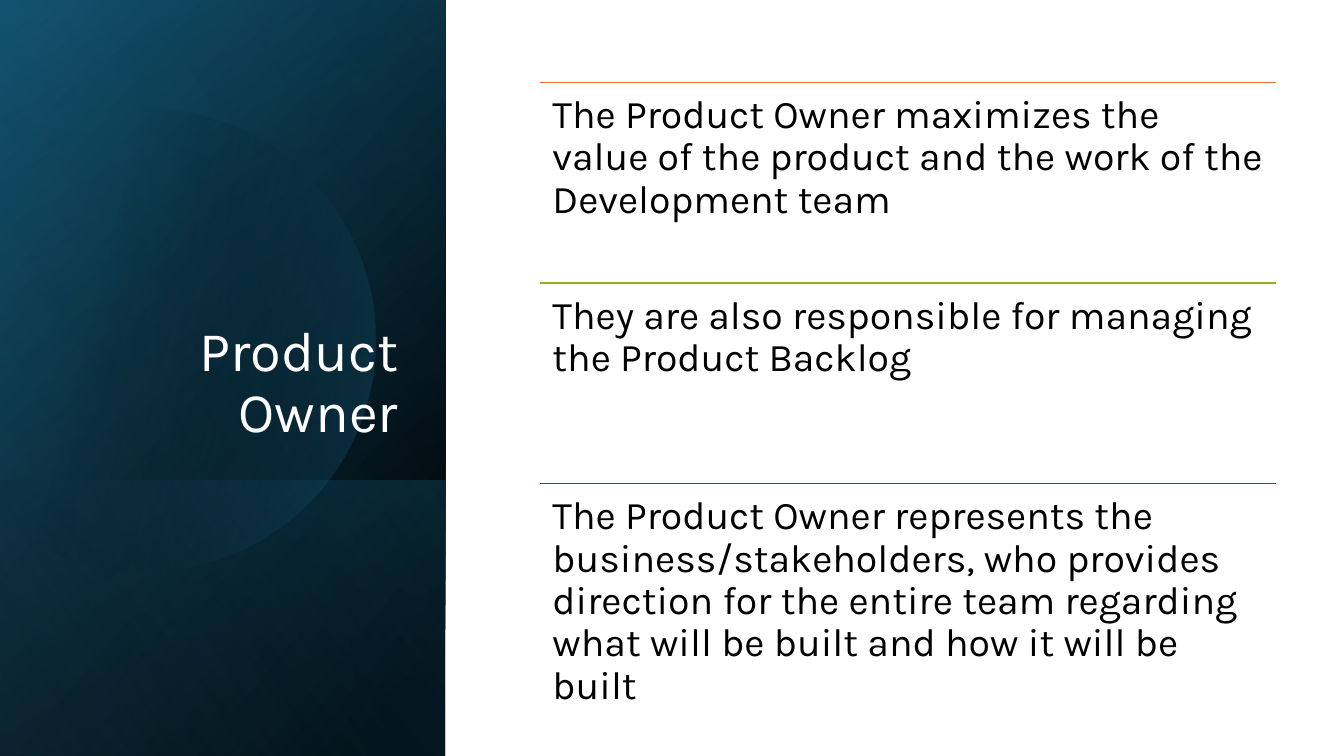
from dataclasses import dataclass
from math import acos, cos, pi, sin

from lxml.etree import SubElement
from pptx import Presentation
from pptx.dml.color import RGBColor
from pptx.enum.shapes import MSO_CONNECTOR, MSO_SHAPE
from pptx.enum.text import MSO_ANCHOR, MSO_AUTO_SIZE, PP_ALIGN
from pptx.oxml.ns import qn
from pptx.util import Inches, Pt

FONT = "Karla"
BLACK = RGBColor(0x00, 0x00, 0x00)
WHITE = RGBColor(0xFF, 0xFF, 0xFF)
DEEP_TEAL = RGBColor(0x10, 0x48, 0x62)
TEAL = RGBColor(0x15, 0x60, 0x82)
SKY = RGBColor(0x46, 0xB1, 0xE1)
ORANGE = RGBColor(0xE9, 0x71, 0x32)
LIME = RGBColor(0x8E, 0xB2, 0x1E)
GREEN = RGBColor(0x19, 0x6B, 0x24)

SLIDE_WIDTH, SLIDE_HEIGHT = Inches(13.33), Inches(7.5)

# Grid of 100 columns by 100 rows
PANEL_COLUMNS = 33.15
LOWER_PANEL_ROW = 63.5
DUTY_COLUMN, DUTY_COLUMNS = 40.21, 54.71
FIRST_DUTY_ROW, DUTY_ROWS = 10.93, 26.53


@dataclass(frozen=True)
class Stop:
    position: float
    color: RGBColor
    opacity: int = 100


@dataclass(frozen=True)
class Shade:
    start: Stop
    end: Stop
    angle: int  # clockwise degrees


@dataclass(frozen=True)
class PanelLayer:
    top_row: float
    shade: Shade


@dataclass(frozen=True)
class Duty:
    text: str
    color: RGBColor


BASE_LAYERS = [
    PanelLayer(0, Shade(Stop(0.08, BLACK), Stop(1, DEEP_TEAL), 220)),
    PanelLayer(0, Shade(Stop(0, BLACK, 0), Stop(0.99, TEAL, 46), 240)),
    PanelLayer(LOWER_PANEL_ROW, Shade(Stop(0.02, TEAL, 29), Stop(1, BLACK, 30), 140)),
]
GLOW_LAYER = PanelLayer(0, Shade(Stop(0, BLACK, 0), Stop(0.99, SKY, 11), 150))
DISC_SHADE = Shade(Stop(0.29, BLACK, 0), Stop(1, TEAL, 43), 14)

DUTIES = [
    Duty("The Product Owner maximizes the value of the product and the work of "
         "the Development team", ORANGE),
    Duty("They are also responsible for managing the Product Backlog", LIME),
    Duty("The Product Owner represents the business/stakeholders, who provides "
         "direction for the entire team regarding what will be built and how it "
         "will be built", GREEN),
]


def across(columns: float) -> int:
    return round(SLIDE_WIDTH * columns / 100)


def down(rows: float) -> int:
    return round(SLIDE_HEIGHT * rows / 100)


def apply_shade(shape, shade: Shade) -> None:
    shape.shadow.inherit = False
    shape.line.fill.background()
    shape.fill.gradient()
    shape.fill.gradient_angle = 360 - shade.angle
    for target, stop in zip(shape.fill.gradient_stops, (shade.start, shade.end)):
        target.position = stop.position
        target.color.rgb = stop.color
    # Opacity of each stop
    colors = shape.fill._xPr.iter(qn("a:srgbClr"))
    for color, stop in zip(colors, (shade.start, shade.end)):
        if stop.opacity < 100:
            SubElement(color, qn("a:alpha")).set("val", str(stop.opacity * 1000))


def add_panel_layer(slide, layer: PanelLayer) -> None:
    panel = slide.shapes.add_shape(
        MSO_SHAPE.RECTANGLE, 0, down(layer.top_row),
        across(PANEL_COLUMNS), down(100 - layer.top_row))
    apply_shade(panel, layer.shade)


def add_disc(slide, steps: int = 120) -> None:
    """Draw the circle that the slide's left edge cuts off."""
    center_x, center_y, radius = across(10.75), down(44.93), down(30.6)
    reach = acos(-center_x / radius)
    angles = [-reach + 2 * reach * step / steps for step in range(steps + 1)]
    points = [(round(center_x + radius * cos(angle)),
               round(center_y + radius * sin(angle))) for angle in angles]
    builder = slide.shapes.build_freeform(*points[0])
    builder.add_line_segments(points[1:], close=True)
    apply_shade(builder.convert_to_shape(), DISC_SHADE)


def format_paragraph(paragraph, size: int, color: RGBColor, align: PP_ALIGN) -> None:
    paragraph.alignment = align
    paragraph.line_spacing = 0.9
    paragraph.font.name = FONT
    paragraph.font.size = Pt(size)
    paragraph.font.color.rgb = color


def add_title(slide, text: str) -> None:
    title = slide.shapes.title
    title.left, title.top = across(4.8), down(24.53)
    title.width, title.height = across(25.58), down(34.93)
    frame = title.text_frame
    frame.text = text
    frame.word_wrap = True
    frame.auto_size = MSO_AUTO_SIZE.NONE
    frame.vertical_anchor = MSO_ANCHOR.BOTTOM
    format_paragraph(frame.paragraphs[0], 40, WHITE, PP_ALIGN.RIGHT)
    # Bring the title in front of the panel
    slide.shapes._spTree.append(title._element)


def add_duty(slide, duty: Duty, index: int) -> None:
    left, width = across(DUTY_COLUMN), across(DUTY_COLUMNS)
    top = down(FIRST_DUTY_ROW + index * DUTY_ROWS)
    rule = slide.shapes.add_connector(
        MSO_CONNECTOR.STRAIGHT, left, top, left + width, top)
    rule.line.color.rgb = duty.color
    rule.line.width = Pt(1)
    SubElement(rule._element.spPr, qn("a:effectLst"))

    frame = slide.shapes.add_textbox(left, top, width, down(DUTY_ROWS)).text_frame
    frame.word_wrap = True
    frame.margin_left = frame.margin_right = Inches(0.12)
    frame.margin_top = frame.margin_bottom = Inches(0.12)
    frame.text = duty.text
    format_paragraph(frame.paragraphs[0], 28, BLACK, PP_ALIGN.LEFT)


def main() -> None:
    deck = Presentation()
    deck.slide_width, deck.slide_height = SLIDE_WIDTH, SLIDE_HEIGHT
    slide = deck.slides.add_slide(deck.slide_layouts[5])

    # Shaded panel on the left
    for layer in BASE_LAYERS:
        add_panel_layer(slide, layer)
    add_disc(slide)
    add_panel_layer(slide, GLOW_LAYER)
    add_title(slide, "Product Owner")

    # Duties on the right
    for index, duty in enumerate(DUTIES):
        add_duty(slide, duty, index)

    deck.save("out.pptx")


if __name__ == "__main__":
    main()
